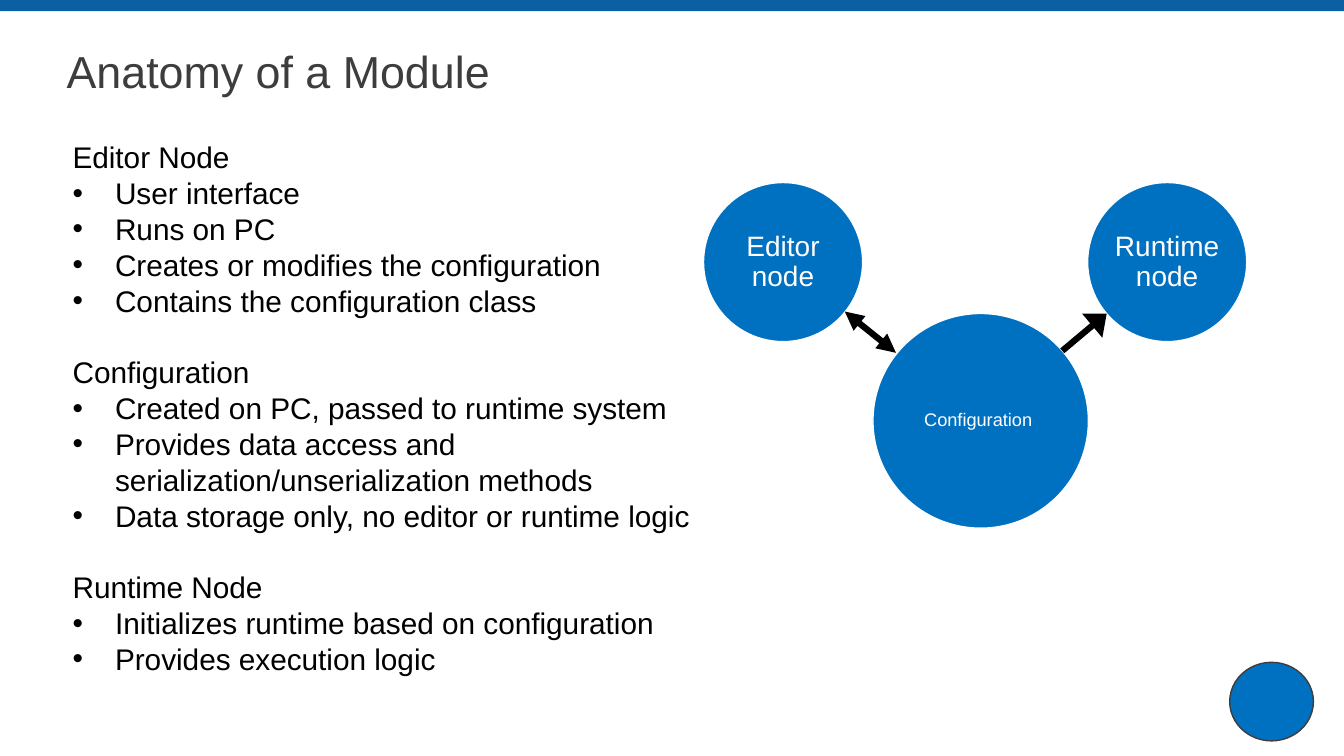
from typing import NamedTuple

from pptx import Presentation
from pptx.dml.color import RGBColor as Rgb
from pptx.enum.shapes import MSO_CONNECTOR as Link, MSO_SHAPE as Kind
from pptx.enum.text import MSO_ANCHOR as Anchor, PP_ALIGN as Align
from pptx.oxml.ns import qn
from pptx.slide import Slide
from pptx.text.text import TextFrame as Frame
from pptx.util import Cm, Pt
from lxml.etree import SubElement as Sub

HUES = {
    "bar": "0A60A3",
    "blue": "0070C0",
    "gray": "3D3D3D",
    "white": "FFFFFF",
    "black": "000000",
}
FACE = "Arial"
PITCH = Pt(25.6)
DENT = Cm(1.07)


class Disc(NamedTuple):
    left: float
    top: float
    width: float
    height: float
    text: str = ""
    size: float = 20
    edge: str = "white"


class Arrow(NamedTuple):
    start: tuple[float, float]
    end: tuple[float, float]
    tips: dict[str, str]


class Group(NamedTuple):
    head: str
    items: list[str]


DISCS = [
    Disc(22, 7.9, 5.43, 5.41, "Configuration ", 13),
    Disc(17.73, 4.6, 4.01, 4.01, "Editor node"),
    Disc(27.41, 4.6, 4.01, 4.01, "Runtime node"),
    Disc(30.99, 16.69, 2.11, 1.98, edge="gray"),
]
ARROWS = [
    Arrow((22.58, 8.89), (21.29, 7.85), {"headEnd": "med", "tailEnd": "med"}),
    Arrow((26.77, 8.84), (27.89, 7.9), {"tailEnd": "lg"}),
]
GROUPS = [
    Group("Editor Node", [
        "User interface",
        "Runs on PC",
        "Creates or modifies the configuration",
        "Contains the configuration class",
    ]),
    Group("Configuration", [
        "Created on PC, passed to runtime system",
        "Provides data access and serialization/unserialization methods",
        "Data storage only, no editor or runtime logic",
    ]),
    Group("Runtime Node", [
        "Initializes runtime based on configuration",
        "Provides execution logic",
    ]),
]


def tint(name: str) -> Rgb:
    return Rgb.from_string(HUES[name])


def style(par, size: float, hue: str) -> None:
    par.font.name = FACE
    par.font.size = Pt(size)
    par.font.color.rgb = tint(hue)


def add_box(slide: Slide, left: float, top: float, width: float, height: float) -> Frame:
    frame = slide.shapes.add_textbox(Cm(left), Cm(top), Cm(width), Cm(height)).text_frame
    frame.word_wrap = True
    frame.margin_left = frame.margin_right = 0
    return frame


def add_bar(slide: Slide, width: int) -> None:
    bar = slide.shapes.add_shape(Kind.RECTANGLE, 0, 0, width, Cm(0.28))
    bar.shadow.inherit = False
    bar.fill.solid()
    bar.fill.fore_color.rgb = tint("bar")
    bar.line.fill.background()


def add_title(slide: Slide) -> None:
    frame = add_box(slide, 1.68, 1.02, 30.48, 1.7)
    frame.vertical_anchor = Anchor.MIDDLE
    par = frame.paragraphs[0]
    par.text = "Anatomy of a Module"
    par.line_spacing = 0.9
    style(par, 32, "gray")


def add_disc(slide: Slide, disc: Disc) -> None:
    shape = slide.shapes.add_shape(Kind.OVAL, *map(Cm, disc[:4]))
    shape.shadow.inherit = False
    shape.fill.solid()
    shape.fill.fore_color.rgb = tint("blue")
    shape.line.color.rgb = tint(disc.edge)
    shape.line.width = Pt(1)
    if not disc.text:
        return
    frame = shape.text_frame
    frame.word_wrap = True
    frame.vertical_anchor = Anchor.MIDDLE
    frame.margin_left = frame.margin_right = Cm(0.03)
    frame.margin_top = frame.margin_bottom = Cm(0.03)
    par = frame.paragraphs[0]
    par.text = disc.text
    par.alignment = Align.CENTER
    par.line_spacing = 0.9
    style(par, disc.size, "white")


def add_arrow(slide: Slide, arrow: Arrow) -> None:
    link = slide.shapes.add_connector(Link.STRAIGHT, *map(Cm, arrow.start + arrow.end))
    link.line.color.rgb = tint("black")
    link.line.width = Pt(4.5)
    line = link.line._get_or_add_ln()
    for tag, width in arrow.tips.items():
        Sub(line, qn(f"a:{tag}"), type="triangle", w=width, len="med")
    Sub(link._element.spPr, qn("a:effectLst"))


def add_line(frame: Frame, text: str, first: bool = False):
    par = frame.paragraphs[0] if first else frame.add_paragraph()
    par.text = text
    par.line_spacing = PITCH
    return par


def add_body(slide: Slide) -> None:
    frame = add_box(slide, 1.83, 3.38, 15.75, 13.94)
    for rank, group in enumerate(GROUPS):
        head = add_line(frame, group.head, rank == 0)
        if rank:
            head.space_before = PITCH
        style(head, 21.3, "black")
        for item in group.items:
            par = add_line(frame, item)
            props = par._p.get_or_add_pPr()
            props.set("marL", str(DENT))
            props.set("indent", str(-DENT))
            Sub(props, qn("a:buFont"), typeface=FACE)
            Sub(props, qn("a:buChar"), char="•")
            style(par, 21.3, "black")


def main() -> None:
    deck = Presentation()
    deck.slide_width = Cm(33.87)
    deck.slide_height = Cm(19.05)
    slide = deck.slides.add_slide(deck.slide_layouts[6])
    add_bar(slide, deck.slide_width)
    add_title(slide)
    for disc in DISCS:
        add_disc(slide, disc)
    for arrow in ARROWS:
        add_arrow(slide, arrow)
    add_body(slide)
    deck.save("out.pptx")


if __name__ == "__main__":
    main()
